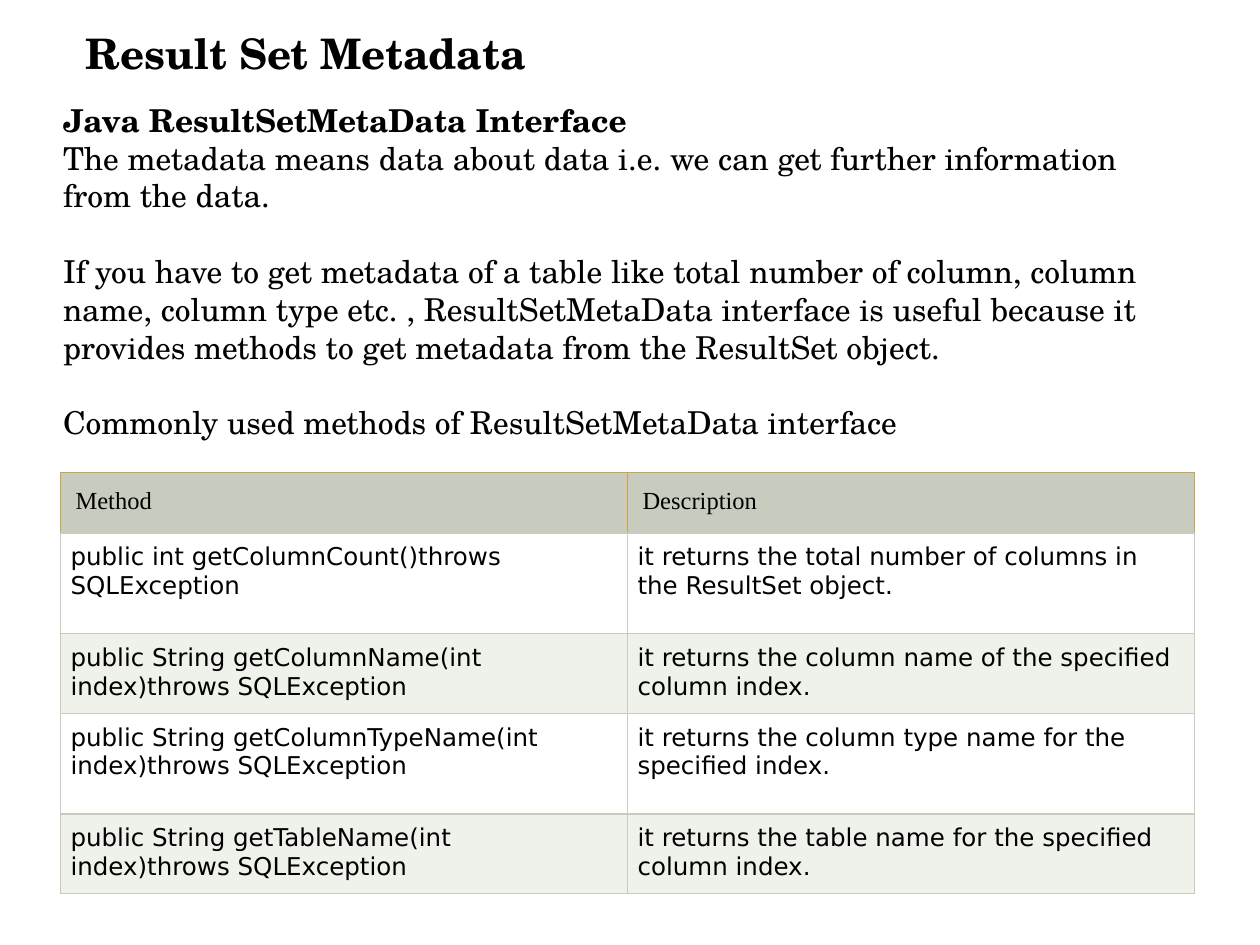
from dataclasses import dataclass

from lxml.etree import SubElement
from pptx import Presentation
from pptx.dml.color import RGBColor as RGB
from pptx.enum.text import MSO_ANCHOR as ANCHOR, MSO_AUTO_SIZE as AUTO, PP_ALIGN as ALIGN
from pptx.oxml.ns import qn
from pptx.util import Inches, Pt


@dataclass(frozen=True)
class Theme:
    text: str = "000000"
    header: str = "C7CCBE"
    accent: str = "D0A343"
    bands: tuple = ("FFFFFF", "EFF1EB")
    serif: str = "TeX Gyre Schola"
    head_font: str = "Times New Roman"
    cell_font: str = "DejaVu Sans"
    title: int = 24
    body: int = 18
    cell: int = 14
    border: float = 0.75


THEME = Theme()
PARAGRAPH_GAP = 21.6

# (text, bold, space before in points)
BODY = [
    ("Java ResultSetMetaData Interface", True, 0),
    ("The metadata means data about data i.e. we can get further information "
     "from the data.", False, 0),
    ("If you have to get metadata of a table like total number of column, column name, "
     "column type etc. , ResultSetMetaData interface is useful because it provides "
     "methods to get metadata from the ResultSet object.", False, PARAGRAPH_GAP),
    ("Commonly used methods of ResultSetMetaData interface", False, PARAGRAPH_GAP),
]

METHODS = [
    ("Method", "Description"),
    ("public int getColumnCount()throws SQLException",
     "it returns the total number of columns in the ResultSet object."),
    ("public String getColumnName(int index)throws SQLException",
     "it returns the column name of the specified column index."),
    ("public String getColumnTypeName(int index)throws SQLException",
     "it returns the column type name for the specified index."),
    ("public String getTableName(int index)throws SQLException",
     "it returns the table name for the specified column index."),
]
ROW_HEIGHTS = (0.48, 0.8, 0.63, 0.8, 0.63)


def set_all(obj, values):
    for name, value in values.items():
        setattr(obj, name, value)


def add_run(p, text, font, size, bold=False):
    r = p.add_run()
    r.text = text
    set_all(r.font, {"name": font, "size": Pt(size), "bold": bold})
    r.font.color.rgb = RGB.from_string(THEME.text)


def fill_placeholder(sp, box, paragraphs, size):
    """Move a placeholder and fill it with plain, left-aligned paragraphs."""
    set_all(sp, dict(zip(("left", "top", "width", "height"), map(Inches, box))))
    tf = sp.text_frame
    set_all(tf, {"word_wrap": True, "auto_size": AUTO.NONE, "vertical_anchor": ANCHOR.TOP})
    for i, (text, bold, gap) in enumerate(paragraphs):
        p = tf.add_paragraph() if i else tf.paragraphs[0]
        set_all(p, {"alignment": ALIGN.LEFT, "space_before": Pt(gap), "space_after": Pt(0)})
        pPr = p._p.get_or_add_pPr()
        pPr.set("marL", "0")
        pPr.set("indent", "0")
        SubElement(pPr, qn("a:buNone"))
        add_run(p, text, THEME.serif, size, bold)


def set_borders(cell, colors):
    """Draw the left, right, top and bottom borders in the given colours."""
    tcPr = cell._tc.get_or_add_tcPr()
    for i, (side, color) in enumerate(zip("LRTB", colors)):
        ln = SubElement(tcPr, qn(f"a:ln{side}"), w=str(Pt(THEME.border)))
        SubElement(SubElement(ln, qn("a:solidFill")), qn("a:srgbClr"), val=color)
        tcPr.insert(i, ln)


def format_cell(cell, text, row):
    header = row == 0
    inset = Inches(0.12 if header else 0.08)
    set_all(cell, {f"margin_{side}": inset for side in ("left", "right", "top", "bottom")})
    cell.fill.solid()
    color = THEME.header if header else THEME.bands[(row - 1) % 2]
    cell.fill.fore_color.rgb = RGB.from_string(color)
    edge = THEME.accent if header else THEME.header
    set_borders(cell, (edge, edge, edge, THEME.header))
    font = THEME.head_font if header else THEME.cell_font
    add_run(cell.text_frame.paragraphs[0], text, font, THEME.cell)


def add_methods_table(s):
    table = s.shapes.add_table(
        len(METHODS), len(METHODS[0]), Inches(0.48), Inches(3.75),
        Inches(9), Inches(sum(ROW_HEIGHTS))).table
    for i, (texts, height) in enumerate(zip(METHODS, ROW_HEIGHTS)):
        table.rows[i].height = Inches(height)
        for j, text in enumerate(texts):
            format_cell(table.cell(i, j), text, i)


def main():
    prs = Presentation()
    set_all(prs, {"slide_width": Inches(10), "slide_height": Inches(7.5)})
    s = prs.slides.add_slide(prs.slide_layouts[1])
    fill_placeholder(s.shapes.title, (0.58, 0.17, 9.16, 0.47),
                     [("Result Set Metadata", True, 0)], THEME.title)
    fill_placeholder(s.placeholders[1], (0.4, 0.75, 9.17, 3.13), BODY, THEME.body)
    add_methods_table(s)
    prs.save("out.pptx")


if __name__ == "__main__":
    main()
